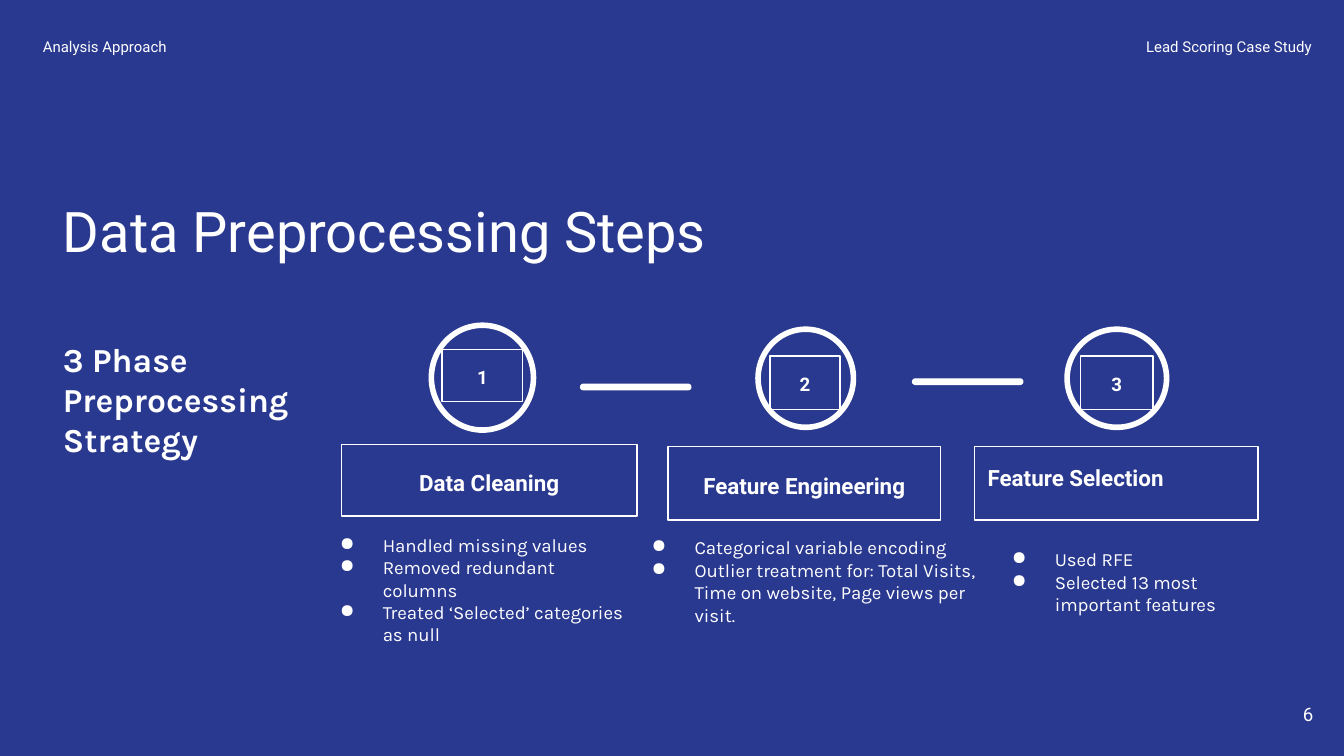
import lxml.etree
import pptx
import pptx.dml.color
import pptx.enum.shapes
import pptx.enum.text
import pptx.oxml.ns
import pptx.util

COLORS = {"background": "2A3990", "white": "FFFFFF"}
SHAPES = pptx.enum.shapes.MSO_SHAPE
ALIGN = pptx.enum.text.PP_ALIGN
ANCHOR = pptx.enum.text.MSO_ANCHOR
CELL = 0.1  # inches per grid column and row


def cells(count):
    return pptx.util.Inches(count * CELL)


class Page:
    """Slide on a grid of 100 columns by 56.2 rows; areas are (left, top, width, height)."""

    heading_font = "Roboto"
    body_font = "Karla"

    def __init__(self, deck):
        self.slide = deck.slides.add_slide(deck.slide_layouts[6])
        fill = self.slide.background.fill
        fill.solid()
        fill.fore_color.rgb = self.color("background")

    def color(self, name):
        return pptx.dml.color.RGBColor.from_string(COLORS[name])

    def fill_text(self, box, lines, size, font=heading_font, bold=False, align=ALIGN.LEFT,
                  anchor=ANCHOR.TOP, spacing=None, after=None, bullets=False):
        frame = box.text_frame
        frame.word_wrap = True
        frame.vertical_anchor = anchor
        frame.margin_left = frame.margin_right = cells(1)
        frame.margin_top = frame.margin_bottom = cells(1)
        for index, line in enumerate(lines):
            para = frame.add_paragraph() if index else frame.paragraphs[0]
            para.alignment = align
            if spacing:
                para.line_spacing = spacing
            if after:
                para.space_after = pptx.util.Pt(after)
            if bullets:
                self.bullet(para)
            span = para.add_run()
            span.text = line
            span.font.name = font
            span.font.size = pptx.util.Pt(size)
            span.font.bold = bold
            span.font.color.rgb = self.color("white")

    def bullet(self, para):
        name = pptx.oxml.ns.qn
        properties = para._p.get_or_add_pPr()
        properties.set("marL", str(cells(5)))
        properties.set("indent", str(-cells(3.2)))
        tint = lxml.etree.SubElement(properties, name("a:buClr"))
        lxml.etree.SubElement(tint, name("a:srgbClr")).set("val", COLORS["white"])
        lxml.etree.SubElement(properties, name("a:buChar")).set("char", "●")

    def text(self, area, lines, size, **style):
        box = self.slide.shapes.add_textbox(*map(cells, area))
        self.fill_text(box, lines, size, **style)

    def shape(self, kind, area, line_width=0.75, filled=False):
        shape = self.slide.shapes.add_shape(kind, *map(cells, area))
        shape.shadow.inherit = False
        if filled:
            shape.fill.solid()
            shape.fill.fore_color.rgb = self.color("white")
        else:
            shape.fill.background()
        shape.line.color.rgb = self.color("white")
        shape.line.width = pptx.util.Pt(line_width)
        return shape

    def dash(self, left, top):
        bar = self.shape(SHAPES.ROUNDED_RECTANGLE, (left, top, 8.2, 0.4), filled=True)
        bar.adjustments[0] = 0.5

    def phase(self, number, circle, label, name, title, title_style, notes, steps):
        self.shape(SHAPES.OVAL, circle, line_width=3)
        self.fill_text(self.shape(SHAPES.RECTANGLE, name), [title], 12, bold=True,
                       spacing=1.15, **title_style)
        self.fill_text(self.shape(SHAPES.RECTANGLE, label), [str(number)], 10, bold=True,
                       align=ALIGN.CENTER, spacing=1.15, after=16)
        self.text(notes, steps, 10, font=self.body_font, bullets=True)


def main():
    deck = pptx.Presentation()
    deck.slide_width = cells(100)
    deck.slide_height = cells(56.25)
    page = Page(deck)

    page.text((3.7, 5.5, 83.9, 15.1), ["Data Preprocessing Steps"], 30, anchor=ANCHOR.BOTTOM)
    page.text((92.7, 51, 6, 4.3), ["6"], 10, align=ALIGN.RIGHT, anchor=ANCHOR.MIDDLE)
    headers = [(2.2, 20.3, "Analysis Approach", ALIGN.LEFT),
               (77.5, 21.1, "Lead Scoring Case Study", ALIGN.RIGHT)]
    for left, width, header, align in headers:
        page.text((left, 2.2, width, 2.3), [header], 8, align=align,
                  anchor=ANCHOR.MIDDLE, spacing=1.15, after=12)
    page.text((3.7, 24.2, 25.6, 11.5), ["3 Phase Preprocessing Strategy"], 18,
              font=page.body_font, bold=True)

    centered = {"align": ALIGN.CENTER, "anchor": ANCHOR.MIDDLE}
    phases = [
        ((32.1, 24.2, 7.6, 7.8), (32.9, 26, 6, 3.9), (25.4, 33.1, 22, 5.3),
         "Data Cleaning", centered, (22.5, 38.7, 25.6, 7.7),
         ["Handled missing values", "Removed redundant columns",
          "Treated ‘Selected’ categories as null"]),
        ((56.4, 24.5, 7.1, 7.3), (57.3, 26.5, 5.2, 4), (49.7, 33.2, 20.3, 5.5),
         "Feature Engineering", centered, (45.7, 38.9, 28.3, 11.5),
         ["Categorical variable encoding",
          "Outlier treatment for: Total Visits, Time on website, Page views per visit."]),
        ((79.4, 24.5, 7.4, 7.3), (80.4, 26.5, 5.4, 4), (72.5, 33.2, 21.1, 5.5),
         "Feature Selection", {}, (72.5, 39.8, 22.4, 9.6),
         ["Used RFE", "Selected 13 most important features"]),
    ]
    for number, phase in enumerate(phases, start=1):
        page.phase(number, *phase)
    for left, top in [(43.2, 28.6), (67.9, 28.2)]:
        page.dash(left, top)

    deck.save("out.pptx")


if __name__ == "__main__":
    main()
